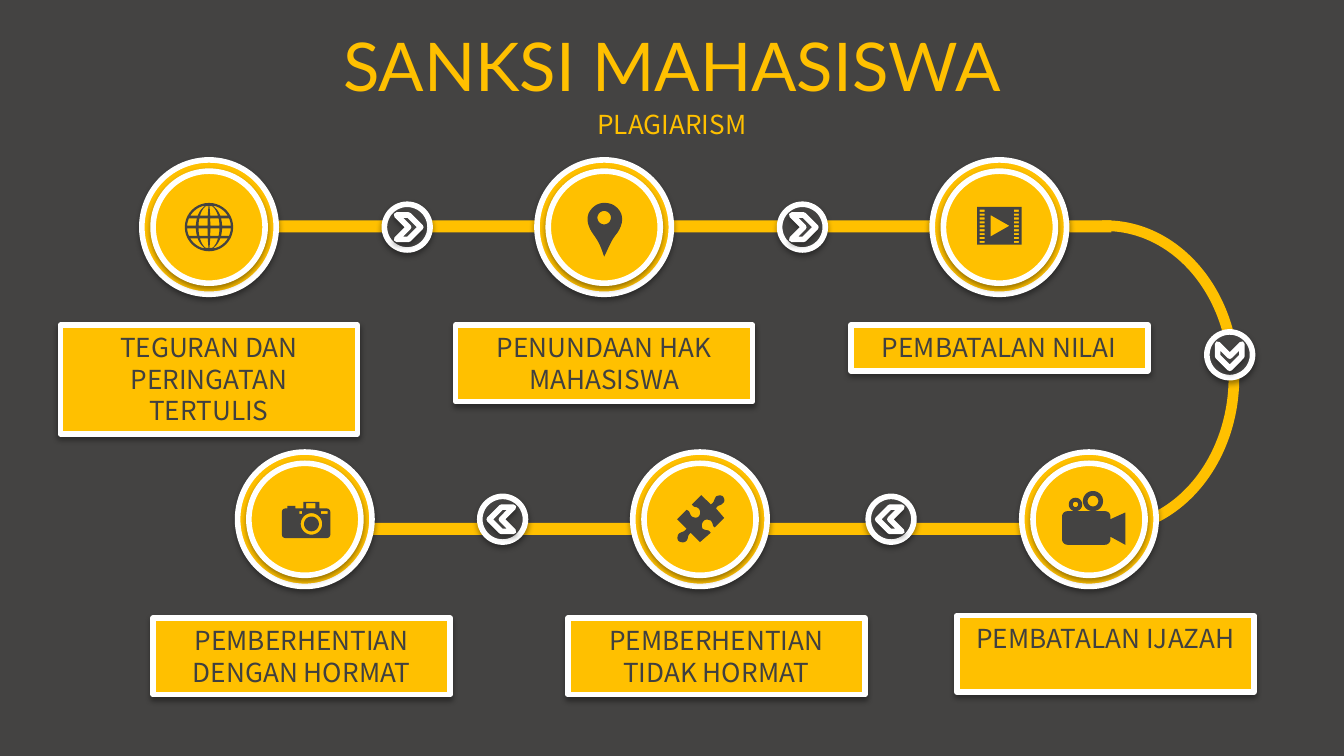
from math import cos, pi, sin, sqrt

from lxml import etree
from pptx import Presentation
from pptx.dml.color import RGBColor
from pptx.enum.shapes import MSO_SHAPE
from pptx.enum.text import MSO_ANCHOR, PP_ALIGN
from pptx.oxml.ns import qn
from pptx.util import Pt

OVAL, RECT = MSO_SHAPE.OVAL, MSO_SHAPE.RECTANGLE
ARC, CHEVRON = MSO_SHAPE.BLOCK_ARC, MSO_SHAPE.CHEVRON
TOP, MIDDLE = MSO_ANCHOR.TOP, MSO_ANCHOR.MIDDLE
CENTER = PP_ALIGN.CENTER

COLORS = {"gold": "FFC000", "dark": "444342", "white": "FFFFFF",
          "text": "404040", "black": "000000"}
HEAD, BODY = "Lato", "Noto Sans CJK JP"
PITCH = 211.7    # gap between steps
UNIT = 0.72      # points per icon grid unit
ROW_1, ROW_2 = 121.7, 278.2


def color(name):
    return RGBColor.from_string(COLORS[name])


# Basic elements
def paint(shape, fill, raised=False):
    shape.fill.solid()
    shape.fill.fore_color.rgb = color(fill)
    shape.shadow.inherit = False
    if not raised:
        shape.line.fill.background()
        return
    shape.line.color.rgb = color("white")
    shape.line.width = Pt(3)
    effects = shape._element.spPr.find(qn("a:effectLst"))
    shade = etree.SubElement(effects, qn("a:outerShdw"), blurRad=str(Pt(3.1)),
                             dist=str(Pt(1.6)), dir="5400000", rotWithShape="0")
    tone = etree.SubElement(shade, qn("a:srgbClr"), val=COLORS["black"])
    etree.SubElement(tone, qn("a:alpha"), val="38000")


def add_form(slide, kind, x, y, w, h, fill, raised=False):
    shape = slide.shapes.add_shape(kind, Pt(x), Pt(y), Pt(w), Pt(h))
    paint(shape, fill, raised)
    return shape


def add_disc(slide, x, y, size, fill, kind=OVAL):
    return add_form(slide, kind, x - size / 2, y - size / 2, size, size, fill, True)


def write(shape, lines, size, font, tone, anchor):
    frame = shape.text_frame
    frame.word_wrap = True
    frame.vertical_anchor = anchor
    for i, line in enumerate(lines):
        para = frame.paragraphs[0] if i == 0 else frame.add_paragraph()
        para.text = line
        para.alignment = CENTER
        para.font.size = Pt(size)
        para.font.name = font
        para.font.color.rgb = color(tone)


def add_title(slide, text, y, h, size, font):
    box = slide.shapes.add_textbox(0, Pt(y), Pt(720), Pt(h))
    write(box, [text], size, font, "gold", MIDDLE)


def add_label(slide, lines, x, y, h):
    box = add_form(slide, RECT, x, y, 159.1, h, "gold", True)
    write(box, lines, 14, BODY, "text", TOP)


def add_arrow(slide, x, y, turn):
    add_disc(slide, x, y, 24.5, "dark")
    angle = turn * pi / 180
    tip = add_disc(slide, x + 0.7 * cos(angle), y + 0.7 * sin(angle), 13, "dark", CHEVRON)
    tip.rotation = turn


# Icon outlines, on a grid centred on the step
def ring(x, y, r):
    return [(x + r * cos(i * pi / 20), y + r * sin(i * pi / 20)) for i in range(40)]


def box(x1, y1, x2, y2):
    return [(x1, y1), (x2, y1), (x2, y2), (x1, y2)]


def soft(x1, y1, x2, y2, r):
    dots = []
    corners = [(x2 - r, y2 - r), (x1 + r, y2 - r), (x1 + r, y1 + r), (x2 - r, y1 + r)]
    for n, (x, y) in enumerate(corners):
        angles = [(n + i / 5) * pi / 2 for i in range(6)]
        dots += [(x + r * cos(a), y + r * sin(a)) for a in angles]
    return dots


def trace(*steps):
    """Pairs are corners; six numbers are a cubic curve."""
    dots = []
    for step in steps:
        if len(step) == 2:
            dots.append(step)
            continue
        ends = [dots[-1], step[:2], step[2:4], step[4:]]
        for i in range(1, 9):
            t = i / 8
            parts = ((1 - t) ** 3, 3 * t * (1 - t) ** 2, 3 * t * t * (1 - t), t ** 3)
            dots.append(tuple(sum(p * e[k] for p, e in zip(parts, ends)) for k in (0, 1)))
    return dots


def globe():
    paths = [ring(0, 0, 18)]
    for low, high in ((-15.5, -8.5), (-6.5, -1), (1, 6.5), (8.5, 15.5)):
        rows = [low + (high - low) * i / 8 for i in range(9)]
        for left, right in ((-1, -0.6), (-0.48, -0.06), (0.06, 0.48), (0.6, 1)):
            side = [(left * sqrt(16.3 ** 2 - y * y), y) for y in rows]
            back = [(right * sqrt(16.3 ** 2 - y * y), y) for y in reversed(rows)]
            paths.append(side + back)
    return paths


def pin():
    return [trace((0, -18), (4, -18, 7, -17, 10, -14), (15, -9, 14, -2, 10, 4),
                  (5, 10, 4, 14, 0, 22), (-3, 13, -4, 11, -9, 4),
                  (-13, -2, -14, -9, -9, -14), (-6, -17, -3, -18, 0, -18)),
            ring(0, -7, 5)]


def film():
    holes = [box(x, -13 + 2.9 * i, x + 3.7, -11.4 + 2.9 * i)
             for x in (-14.6, 10.8) for i in range(9)]
    return [box(-16.5, -15, 16.5, 13), [(-6.5, -9), (-6.5, 7), (7.5, -1)]] + holes


def camera():
    return [soft(-17, -8, 19, 14, 2.5), ring(5, 3.5, 8), ring(5, 3.5, 5.5),
            box(-1, -13, 11, -8), box(1, -12, 8, -8), box(-13, -10, -7, -8),
            box(-4, -6, -2, -4), box(12, -6, 17, -4)]


def puzzle():
    return [trace((17, -17), (18, -16, 19, -13, 17, -12), (16, -10, 13, -11, 12, -8),
                  (18, -1), (11, 6), (9, 5, 10, 3, 8, 1), (6, 0, 4, 0, 3, 1),
                  (1, 3, 1, 5, 2, 7), (5, 9, 6, 7, 8, 10), (0, 17), (-7, 10),
                  (-10, 13, -8, 13, -10, 16), (-12, 18, -15, 17, -16, 16),
                  (-17, 15, -17, 13, -16, 11), (-14, 9, -12, 10, -10, 7),
                  (-17, 0), (-10, -7), (-7, -6, -8, -4, -6, -2), (-4, -1, -2, -1, -1, -2),
                  (0, -3, 1, -6, -1, -8), (-3, -10, -4, -8, -6, -11), (1, -18), (8, -11),
                  (11, -13, 10, -14, 12, -17), (14, -18, 16, -18, 17, -17))]


def video():
    return [soft(-20, -6, 16, 19, 4), [(16, 0), (27, -5), (27, 19), (16, 13)],
            ring(-10, -11, 5), ring(-10, -11, 2), ring(3, -13.5, 7.5), ring(3, -13.5, 4)]


def add_icon(slide, x, y, paths):
    pen = None
    for dots in paths:
        spots = [(Pt(x + UNIT * a), Pt(y + UNIT * b)) for a, b in dots]
        if pen is None:
            pen = slide.shapes.build_freeform(*spots[0], scale=1.0)
        else:
            pen.move_to(*spots[0])
        pen.add_line_segments(spots[1:], close=True)
    paint(pen.convert_to_shape(), "dark")


def add_step(slide, x, y, paths):
    for size in (72, 60):
        add_disc(slide, x, y, size, "gold")
    add_icon(slide, x, y, paths)


def main():
    deck = Presentation()
    deck.slide_width, deck.slide_height = Pt(720), Pt(405)
    slide = deck.slides.add_slide(deck.slide_layouts[6])
    slide.background.fill.solid()
    slide.background.fill.fore_color.rgb = color("dark")

    # Titles
    add_title(slide, "SANKSI MAHASISWA", 12.2, 45.4, 36, HEAD)
    add_title(slide, "PLAGIARISM", 55.4, 22.3, 14, BODY)

    # Track
    bend = add_form(slide, ARC, 520.6, 118.1, 143.3, 168.5, "gold")
    for i, value in enumerate((161.27, 54.9, 0.04)):
        bend.adjustments[i] = value
    add_form(slide, RECT, 110.9, 118.1, 484.6, 6.5, "gold")
    add_form(slide, RECT, 193, 280.1, 402.5, 6.5, "gold")

    # Steps
    for i, icon in enumerate((globe, pin, film)):
        add_step(slide, 112 + i * PITCH, ROW_1, icon())
    for x, icon in ((163.3, camera), (375, puzzle), (583.4, video)):
        add_step(slide, x, ROW_2, icon())

    # Direction marks
    for x, y, turn in ((218.2, ROW_1, 0), (218.2 + PITCH, ROW_1, 0),
                       (658.8, 190.1, 90), (477.4, ROW_2, 180), (269.3, ROW_2, 180)):
        add_arrow(slide, x, y, turn)

    # Labels
    upper = ((["TEGURAN DAN", "PERINGATAN TERTULIS"], 58.3),
             (["PENUNDAAN HAK MAHASISWA"], 41), (["PEMBATALAN NILAI"], 24.5))
    for i, (lines, h) in enumerate(upper):
        add_label(slide, lines, 32.4 + i * PITCH, 174.2, h)
    for text, x, y in (("PEMBERHENTIAN DENGAN HORMAT", 82.1, 331.2),
                       ("PEMBERHENTIAN TIDAK HORMAT", 304.2, 331.2),
                       ("PEMBATALAN IJAZAH", 512.6, 329.8)):
        add_label(slide, [text], x, y, 41)

    deck.save("out.pptx")


if __name__ == "__main__":
    main()
